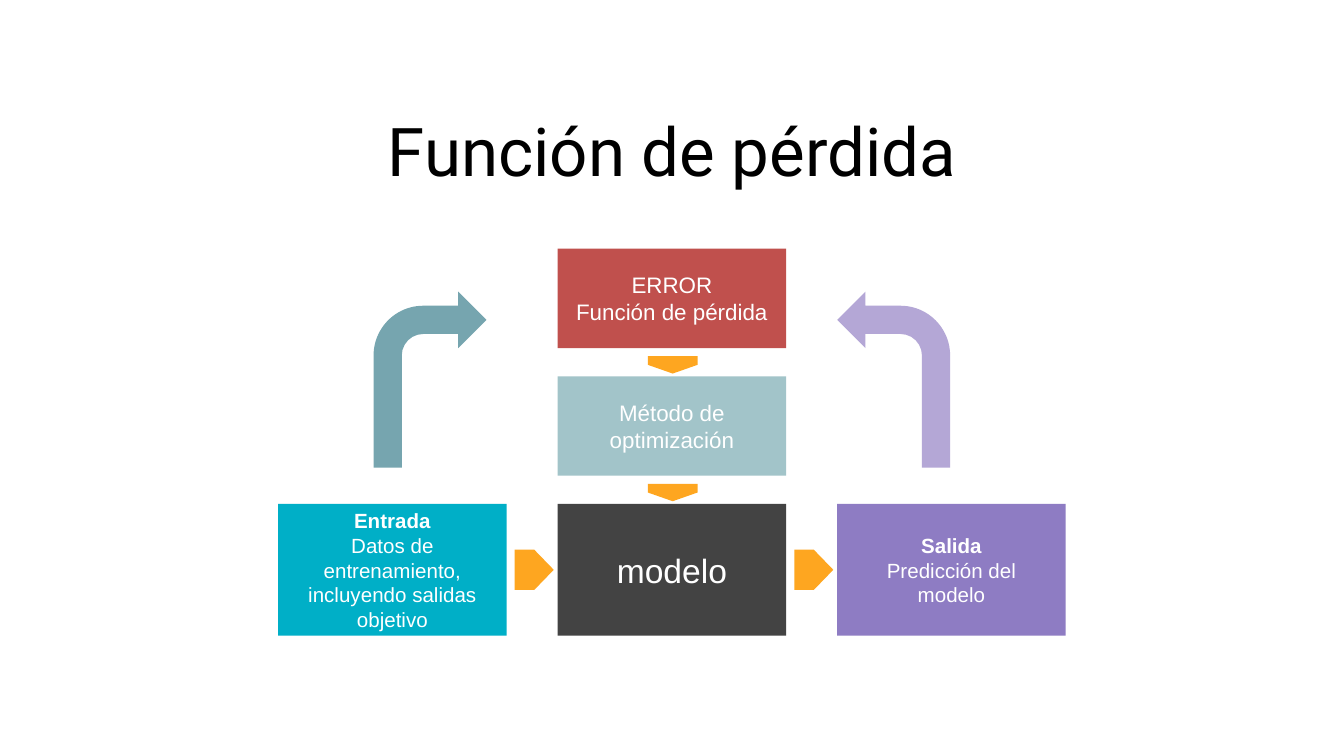
from copy import deepcopy

from pptx import Presentation
from pptx.dml.color import RGBColor
from pptx.enum.shapes import MSO_SHAPE
from pptx.enum.text import MSO_ANCHOR, PP_ALIGN
from pptx.util import Inches, Pt

HUES = {
    "black": "000000", "white": "FFFFFF", "dark": "434343", "cyan": "00AFC7",
    "violet": "8E7CC3", "lilac": "B4A7D6", "teal": "76A5AF",
    "pale": "A2C4C9", "red": "C0504D", "amber": "FEA620",
}
TITLE = "Función de pérdida"
BOXES = [
    (1, 2, 0.98, "dark", 18, [("modelo", False)]),
    (0, 2, 0.98, "cyan", 11, [
        ("Entrada", True),
        ("Datos de entrenamiento, incluyendo salidas objetivo", False)]),
    (2, 2, 0.98, "violet", 11, [
        ("Salida", True), ("Predicción del modelo", False)]),
    (1, 1, 0.74, "pale", 12, [("Método de optimización", False)]),
    (1, 0, 0.74, "red", 12, [("ERROR", False), ("Función de pérdida", False)]),
]
BENDS = [(2.78, "teal", False), (6.23, "lilac", True)]
WIDTH = 10
HEIGHT = WIDTH * 9 / 16
LEFT, TOP, STEP, DROP = 2.07, 1.85, 2.08, 0.95
WIDE = 1.7


def draw(slide, kind, area, hue):
    """Add a flat filled shape."""
    shape = slide.shapes.add_shape(kind, *map(Inches, area))
    shape.shadow.inherit = False
    shape.fill.solid()
    shape.fill.fore_color.rgb = RGBColor.from_string(HUES[hue])
    shape.line.fill.background()
    return shape


def write(frame, lines, size, face, hue):
    """Write centred lines in one paragraph."""
    frame.word_wrap = True
    para = frame.paragraphs[0]
    para.alignment = PP_ALIGN.CENTER
    for i, (text, bold) in enumerate(lines):
        if i:
            para.add_line_break()
            para._p[-1].append(deepcopy(font._element))
        run = para.add_run()
        run.text = text
        font = run.font
        font.size, font.name, font.bold = Pt(size), face, bold
        font.color.rgb = RGBColor.from_string(HUES[hue])


def inset(frame, side, edge):
    """Set the inner margins of a text frame."""
    frame.margin_left = frame.margin_right = Inches(side)
    frame.margin_top = frame.margin_bottom = Inches(edge)


def main():
    """Build the loss function slide."""
    deck = Presentation()
    deck.slide_width, deck.slide_height = Inches(WIDTH), Inches(HEIGHT)
    slide = deck.slides.add_slide(deck.slide_layouts[5])

    title = slide.shapes.title
    title.left, title.top, title.width, title.height = map(
        Inches, (0.5, 0.76, 9, 1.17))
    frame = title.text_frame
    frame.vertical_anchor = MSO_ANCHOR.TOP
    inset(frame, 0.1, 0.05)
    write(frame, [(TITLE, False)], 36, "Roboto", "black")

    for left, hue, flip in BENDS:
        bend = draw(slide, MSO_SHAPE.BENT_ARROW, (left, 2.17, 0.84, 1.31), hue)
        bend.adjustments[3] = 0.44
        if flip:
            bend._element.spPr.xfrm.set("flipH", "1")

    for col, row, high, hue, size, lines in BOXES:
        area = (LEFT + col * STEP, TOP + row * DROP, WIDE, high)
        frame = draw(slide, MSO_SHAPE.RECTANGLE, area, hue).text_frame
        frame.vertical_anchor = MSO_ANCHOR.MIDDLE
        inset(frame, 0.1, 0.1)
        write(frame, lines, size, "Arial", "white")

    for i in range(2):
        across = (3.83 + i * STEP, 4.09, 0.29, 0.3)
        draw(slide, MSO_SHAPE.PENTAGON, across, "amber")
        down = (4.94, 2.53 + i * DROP, 0.13, 0.37)
        draw(slide, MSO_SHAPE.PENTAGON, down, "amber").rotation = 90

    deck.save("out.pptx")


if __name__ == "__main__":
    main()
